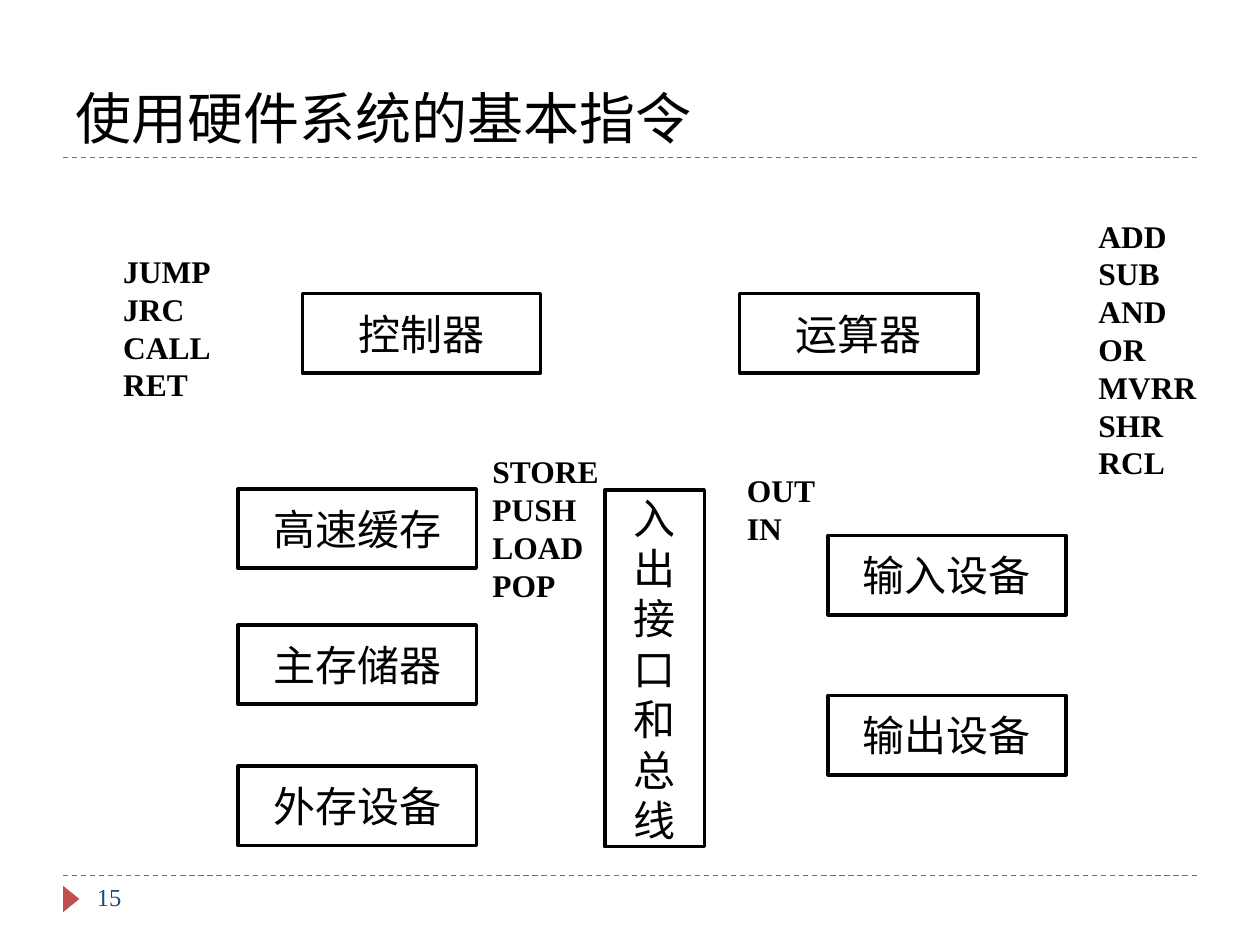
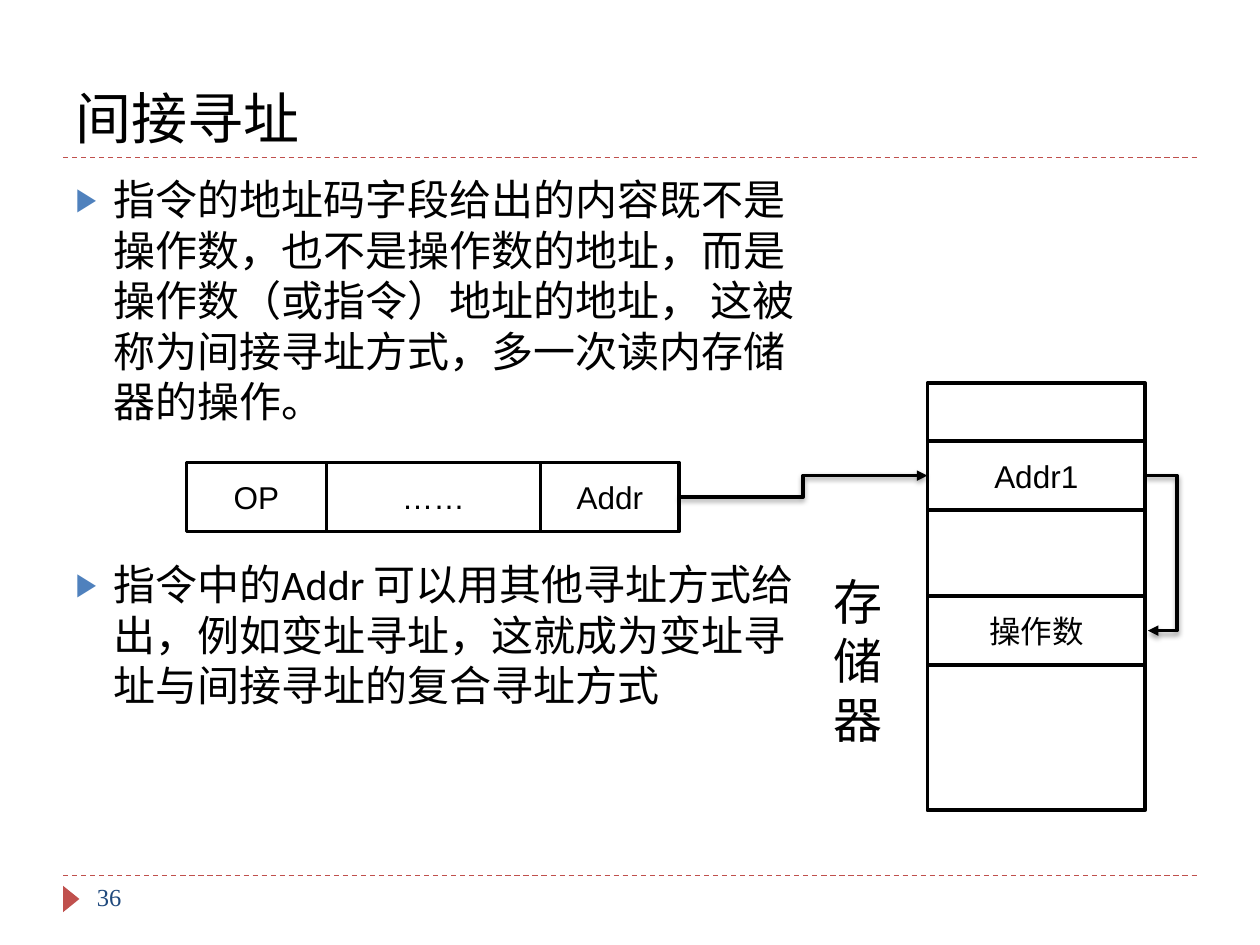
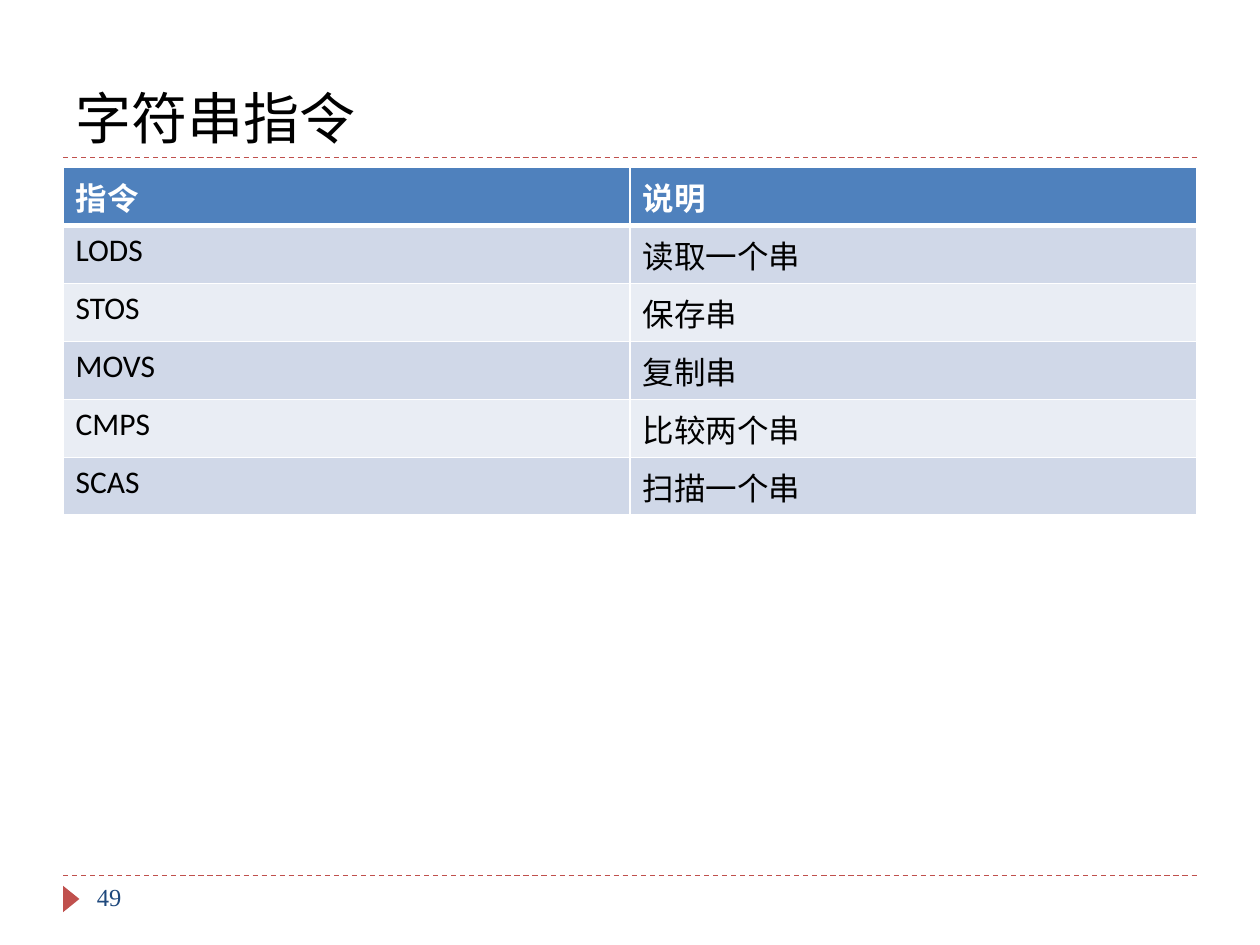
import pptx
import pptx.util
import pptx.dml.color
import pptx.enum.dml
import pptx.enum.shapes
import pptx.enum.text
import pptx.oxml
import pptx.oxml.ns

RGBColor = pptx.dml.color.RGBColor
Inches = pptx.util.Inches
Pt = pptx.util.Pt
MSO_SHAPE = pptx.enum.shapes.MSO_SHAPE
MSO_CONNECTOR = pptx.enum.shapes.MSO_CONNECTOR
MSO_ANCHOR = pptx.enum.text.MSO_ANCHOR
PP_ALIGN = pptx.enum.text.PP_ALIGN

BLACK = RGBColor(0x00, 0x00, 0x00)
WHITE = RGBColor(0xFF, 0xFF, 0xFF)
RED = RGBColor(0xC0, 0x50, 0x4D)
BLUE = RGBColor(0x4F, 0x81, 0xBD)
NAVY = RGBColor(0x1F, 0x49, 0x7D)
BANDS = (RGBColor(0xD0, 0xD8, 0xE8), RGBColor(0xE9, 0xED, 0xF4))

MARGIN = 0.5
CONTENT_WIDTH = 9
TITLE_RULE = 1.25
FOOTER_RULE = 6.95
BODY_TOP = 1.33

UNIT_SIZE = (1.89, 0.63)
HARDWARE_UNITS = [
    ("控制器", 2.4, 2.33),
    ("运算器", 5.87, 2.33),
    ("高速缓存", 1.89, 3.88),
    ("主存储器", 1.89, 4.96),
    ("外存设备", 1.89, 6.08),
    ("输入设备", 6.57, 4.25),
    ("输出设备", 6.57, 5.52),
]
BUS = ("入出接口和总线", 4.8, 3.89, 0.79, 2.83)
INSTRUCTION_GROUPS = [
    (["JUMP", "JRC", "CALL", "RET"], 0.88, 1.95, 1, 1.31),
    (["ADD", "SUB", "AND", "OR", "MVRR", "SHR", "RCL"], 8.62, 1.67, 1.16, 2.22),
    (["STORE", "PUSH", "LOAD", "POP"], 3.81, 3.54, 1.28, 1.31),
    (["OUT", "IN"], 5.83, 3.69, 1.14, 0.71),
]

INDIRECT_POINTS = [
    ("指令的地址码字段给出的内容既不是操作数，也不是操作数的地址，而是操作数（或指令）地址的地址， "
     "这被称为间接寻址方式，多一次读内存储器的操作。", 0),
    ("指令中的Addr 可以用其他寻址方式给出，例如变址寻址，这就成为变址寻址与间接寻址的复合寻址方式", 76),
]
FIELD_LEFT, FIELD_TOP, CELL_HEIGHT = 1.48, 3.67, 0.55
INSTRUCTION_FIELDS = [("OP", 1.11), ("……", 1.7), ("Addr", 1.1)]
MEMORY_LEFT, MEMORY_TOP, MEMORY_WIDTH, MEMORY_HEIGHT = 7.36, 3.04, 1.73, 3.39
MEMORY_CELLS = [("Addr1", 3.5), ("操作数", 4.73)]
MEMORY_LABEL = ("存储器", 6.52, 4.49, 0.85, 1.51)
RETURN_REACH = 0.25
RETURN_GAP = 0.02

STRING_INSTRUCTIONS = [
    ("指令", "说明"),
    ("LODS", "读取一个串"),
    ("STOS", "保存串"),
    ("MOVS", "复制串"),
    ("CMPS", "比较两个串"),
    ("SCAS", "扫描一个串"),
]
ROW_HEIGHT = 0.46


def add_xml(parent, xml, index=None):
    wrapper = pptx.oxml.parse_xml(f"<a:root {pptx.oxml.ns.nsdecls('a')}>{xml}</a:root>")
    parent.insert(len(parent) if index is None else index, wrapper[0])


def place(shape, left, top, width, height):
    shape.left, shape.top = Inches(left), Inches(top)
    shape.width, shape.height = Inches(width), Inches(height)


def style_text(text_frame, size, font, color=BLACK, bold=False, align=PP_ALIGN.LEFT):
    for paragraph in text_frame.paragraphs:
        paragraph.alignment = align
        for run in paragraph.runs:
            run.font.size = Pt(size)
            run.font.name = font
            run.font.bold = bold
            run.font.color.rgb = color


def add_text(slide, text, left, top, width, height, size, font, color=BLACK, bold=False):
    box = slide.shapes.add_textbox(Inches(left), Inches(top), Inches(width), Inches(height))
    box.text_frame.word_wrap = True
    box.text_frame.text = text
    style_text(box.text_frame, size, font, color, bold)


def add_box(slide, text, left, top, width, height, size):
    box = slide.shapes.add_shape(
        MSO_SHAPE.RECTANGLE, Inches(left), Inches(top), Inches(width), Inches(height))
    box.shadow.inherit = False
    box.fill.solid()
    box.fill.fore_color.rgb = WHITE
    box.line.color.rgb = BLACK
    box.line.width = Pt(2)
    box.text_frame.word_wrap = True
    box.text_frame.vertical_anchor = MSO_ANCHOR.MIDDLE
    box.text_frame.text = text
    style_text(box.text_frame, size, "Arial", align=PP_ALIGN.CENTER)
    return box


def add_line(slide, kind, start, end, color, width):
    line = slide.shapes.add_connector(kind, *(Inches(value) for value in (*start, *end)))
    line.line.color.rgb = color
    line.line.width = Pt(width)
    return line


def add_bent_arrow(slide, start, end):
    arrow = add_line(slide, MSO_CONNECTOR.ELBOW, start, end, BLACK, 2)
    add_xml(arrow.line._get_or_add_ln(), '<a:tailEnd type="triangle"/>')
    add_xml(arrow._element.spPr,
            '<a:effectLst><a:outerShdw blurRad="39370" dist="20320" dir="5400000" rotWithShape="0">'
            '<a:srgbClr val="000000"><a:alpha val="38000"/></a:srgbClr></a:outerShdw></a:effectLst>')
    return arrow


def add_slide(presentation, layout_index, title, number):
    slide = presentation.slides.add_slide(presentation.slide_layouts[layout_index])
    for height in (FOOTER_RULE, TITLE_RULE):
        rule = add_line(slide, MSO_CONNECTOR.STRAIGHT, (MARGIN, height),
                        (MARGIN + CONTENT_WIDTH, height), RED, 0.75)
        rule.line.dash_style = pptx.enum.dml.MSO_LINE.DASH
        add_xml(rule._element.spPr, "<a:effectLst/>")
    marker = slide.shapes.add_shape(
        MSO_SHAPE.ISOSCELES_TRIANGLE, Inches(0.46), Inches(7.07), Inches(0.21), Inches(0.13))
    marker.rotation = 90
    marker.shadow.inherit = False
    marker.fill.solid()
    marker.fill.fore_color.rgb = RED
    marker.line.fill.background()
    heading = slide.shapes.title
    place(heading, MARGIN, 0.17, CONTENT_WIDTH, 1.08)
    heading.text_frame.text = title
    heading.text_frame.vertical_anchor = MSO_ANCHOR.BOTTOM
    heading.text_frame.auto_size = pptx.enum.text.MSO_AUTO_SIZE.NONE
    style_text(heading.text_frame, 32, "Calibri")
    add_text(slide, str(number), 0.67, FOOTER_RULE, 2.17, 0.4, 14, "Times New Roman", NAVY)
    return slide


def build_hardware(presentation):
    slide = add_slide(presentation, 5, "使用硬件系统的基本指令", 15)
    for name, left, top in HARDWARE_UNITS:
        add_box(slide, name, left, top, *UNIT_SIZE, 24)
    add_box(slide, *BUS, 24)
    for names, *position in INSTRUCTION_GROUPS:
        add_text(slide, "\n".join(names), *position, 18, "Times New Roman", bold=True)


def fill_points(body):
    place(body, MARGIN, BODY_TOP, 5.92, 5.37)
    text_frame = body.text_frame
    text_frame.auto_size = pptx.enum.text.MSO_AUTO_SIZE.NONE
    text_frame.text = "\n".join(text for text, gap in INDIRECT_POINTS)
    for paragraph, (text, gap) in zip(text_frame.paragraphs, INDIRECT_POINTS):
        properties = paragraph._p.get_or_add_pPr()
        properties.set("marL", str(Inches(0.3)))
        properties.set("indent", str(-Inches(0.3)))
        add_xml(properties, f'<a:buClr><a:srgbClr val="{BLUE}"/></a:buClr>')
        add_xml(properties, '<a:buSzPct val="76000"/>')
        add_xml(properties, '<a:buFont typeface="Arial"/>')
        add_xml(properties, '<a:buChar char="▶"/>')
        paragraph.space_before = Pt(gap)
    style_text(text_frame, 24, "Calibri")


def build_indirect(presentation):
    slide = add_slide(presentation, 1, "间接寻址", 36)
    fill_points(slide.placeholders[1])
    add_box(slide, "", MEMORY_LEFT, MEMORY_TOP, MEMORY_WIDTH, MEMORY_HEIGHT, 18)
    left = FIELD_LEFT
    for name, width in INSTRUCTION_FIELDS:
        address_field = add_box(slide, name, left, FIELD_TOP, width, CELL_HEIGHT, 18)
        left += width
    pointer, operand = [
        add_box(slide, name, MEMORY_LEFT, top, MEMORY_WIDTH, CELL_HEIGHT, 18)
        for name, top in MEMORY_CELLS]
    pointer_middle, operand_middle = (top + CELL_HEIGHT / 2 for name, top in MEMORY_CELLS)

    fetch = add_bent_arrow(slide, (left, FIELD_TOP + CELL_HEIGHT / 2), (MEMORY_LEFT, pointer_middle))
    fetch.begin_connect(address_field, 3)
    fetch.end_connect(pointer, 1)
    memory_right = MEMORY_LEFT + MEMORY_WIDTH
    follow = add_bent_arrow(slide, (memory_right, pointer_middle),
                            (memory_right + RETURN_GAP, operand_middle))
    bend = round(RETURN_REACH / RETURN_GAP * 100000)
    guides = follow._element.spPr.find(pptx.oxml.ns.qn("a:prstGeom")).get_or_add_avLst()
    add_xml(guides, f'<a:gd name="adj1" fmla="val {bend}"/>')
    add_text(slide, *MEMORY_LABEL, 28, "Arial")


def set_borders(cell, widths):
    properties = cell._tc.get_or_add_tcPr()
    for index, (side, width) in enumerate(zip("LRTB", widths)):
        add_xml(properties,
                f'<a:ln{side} w="{Pt(width)}"><a:solidFill><a:srgbClr val="{WHITE}"/></a:solidFill>'
                f'</a:ln{side}>', index)


def build_strings(presentation):
    slide = add_slide(presentation, 5, "字符串指令", 49)
    rows, columns = len(STRING_INSTRUCTIONS), len(STRING_INSTRUCTIONS[0])
    table = slide.shapes.add_table(
        rows, columns, Inches(MARGIN), Inches(BODY_TOP),
        Inches(CONTENT_WIDTH), Inches(ROW_HEIGHT * rows)).table
    for row, texts in enumerate(STRING_INSTRUCTIONS):
        header = row == 0
        for column, text in enumerate(texts):
            cell = table.cell(row, column)
            cell.text_frame.text = text
            style_text(cell.text_frame, 18, "Calibri", WHITE if header else BLACK, header)
            cell.fill.solid()
            cell.fill.fore_color.rgb = BLUE if header else BANDS[(row - 1) % 2]
            set_borders(cell, (1, 1, 3 if row == 1 else 1, 3 if header else 1))


def main():
    presentation = pptx.Presentation()
    presentation.slide_width, presentation.slide_height = Inches(10), Inches(7.5)
    build_hardware(presentation)
    build_indirect(presentation)
    build_strings(presentation)
    presentation.save("out.pptx")


if __name__ == "__main__":
    main()
